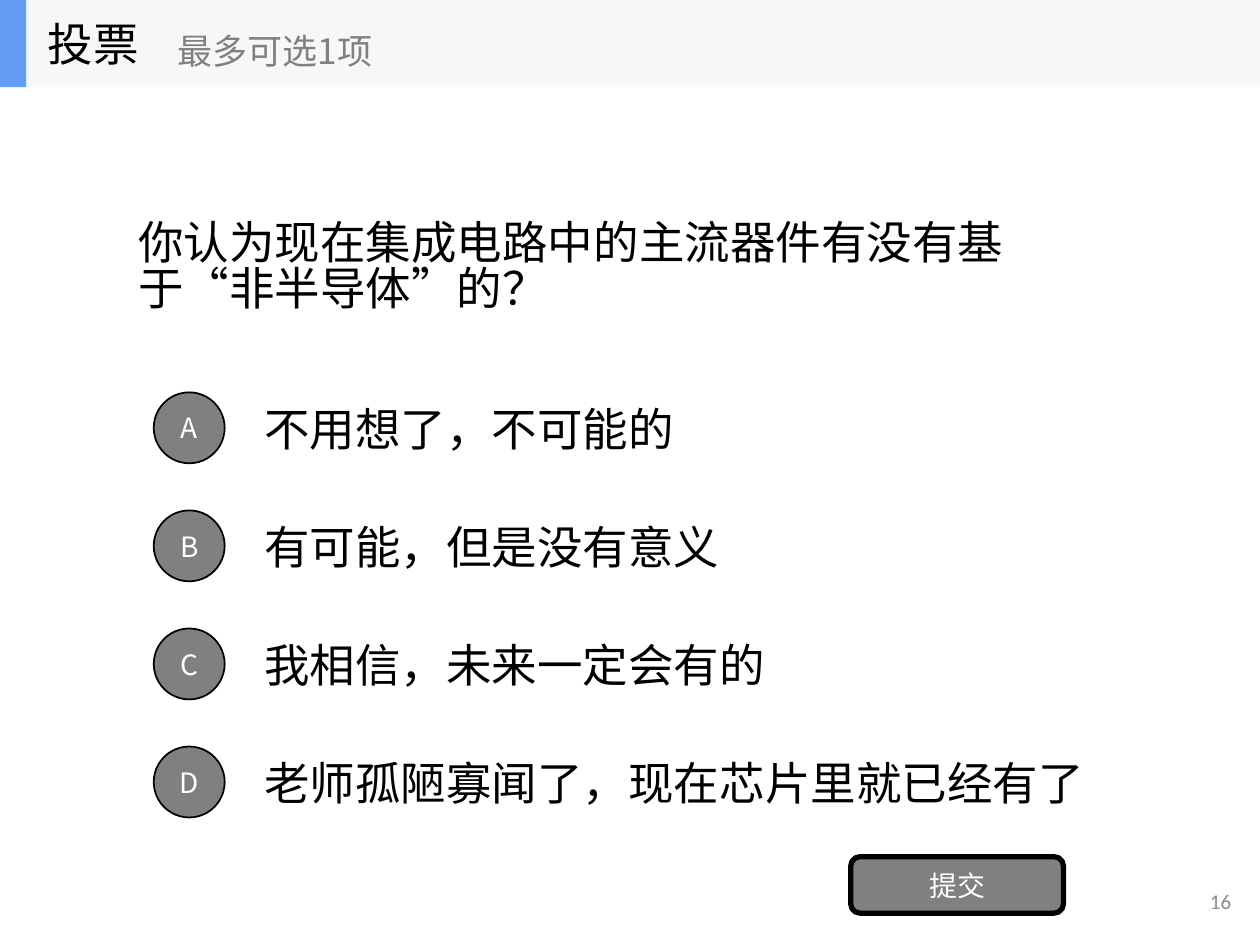
from pptx import Presentation
from pptx.dml.color import RGBColor
from pptx.enum.shapes import MSO_SHAPE as Preset
from pptx.enum.text import MSO_ANCHOR as Anchor, PP_ALIGN as Align
from pptx.oxml.ns import qn
from pptx.util import Cm, Pt
from lxml.etree import SubElement


def color(value):
    return RGBColor.from_string(value)


class PollSlide:
    """Holds the poll style and the slide, and draws each kind of element."""

    font = "Noto Sans CJK SC"
    black, gray, white = "000000", "808080", "FFFFFF"

    def __init__(self, presentation):
        self.slide = presentation.slides.add_slide(presentation.slide_layouts[6])
        self.shapes = self.slide.shapes

    def start_group(self):
        self.shapes = self.slide.shapes.add_group_shape().shapes

    def set_text(self, shape, text, size, ink, align, font, spacing=None):
        frame = shape.text_frame
        frame.word_wrap = True
        frame.vertical_anchor = Anchor.MIDDLE
        paragraph = frame.paragraphs[0]
        paragraph.alignment = align
        if spacing:
            paragraph.line_spacing = spacing
        run = paragraph.add_run()
        run.text = text
        run.font.size = Pt(size)
        run.font.name = font
        run.font.color.rgb = color(ink)
        SubElement(run.font._element, qn("a:ea")).set("typeface", font)

    def text(self, box, text, size=26, ink=black, align=Align.LEFT, font=font, spacing=None):
        shape = self.shapes.add_textbox(*map(Cm, box))
        self.set_text(shape, text, size, ink, align, font, spacing)

    def block(self, box, preset, fill):
        shape = self.shapes.add_shape(preset, *map(Cm, box))
        shape.shadow.inherit = False
        shape.fill.solid()
        shape.fill.fore_color.rgb = color(fill)
        shape.line.fill.background()
        return shape

    def button(self, box, preset, label, border):
        shape = self.block(box, preset, self.gray)
        shape.line.color.rgb = color(self.black)
        shape.line.width = Pt(border)
        self.set_text(shape, label, 16, self.white, Align.CENTER, self.font)

    def option(self, index, letter, answer):
        offset = 2.38 * index
        self.text((5.08, 7.74 + offset, 17.78, 1.78), answer)
        self.button((3.1, 7.91 + offset, 1.43, 1.43), Preset.OVAL, letter, 1)

    def header(self, title, hint):
        self.start_group()
        self.block((0, 0, 25.4, 1.76), Preset.RECTANGLE, "F6F7F8")
        self.block((0, 0, 0.53, 1.76), Preset.RECTANGLE, "639EF4")
        self.text((0.71, 0, 5.28, 1.76), title)
        self.text((3.33, 0.3, 6.35, 1.42), hint, 20, self.gray)


def main():
    presentation = Presentation()
    presentation.slide_width, presentation.slide_height = Cm(25.4), Cm(19.05)
    poll = PollSlide(presentation)
    poll.text((19.35, 17.65, 5.72, 1.02), "16", 12, "8C8C8C", Align.RIGHT, "Calibri")
    poll.text((2.54, 3.05, 20.32, 4.75), "你认为现在集成电路中的主流器件有没有基于“非半导体”的？", spacing=0.83)
    answers = (
        "不用想了，不可能的",
        "有可能，但是没有意义",
        "我相信，未来一定会有的",
        "老师孤陋寡闻了，现在芯片里就已经有了",
    )
    for index, (letter, answer) in enumerate(zip("ABCD", answers)):
        poll.option(index, letter, answer)
    poll.button((17.15, 17.27, 4.29, 1.14), Preset.ROUNDED_RECTANGLE, "提交", 3)
    poll.header("投票", "最多可选1项")
    presentation.save("out.pptx")


if __name__ == "__main__":
    main()
